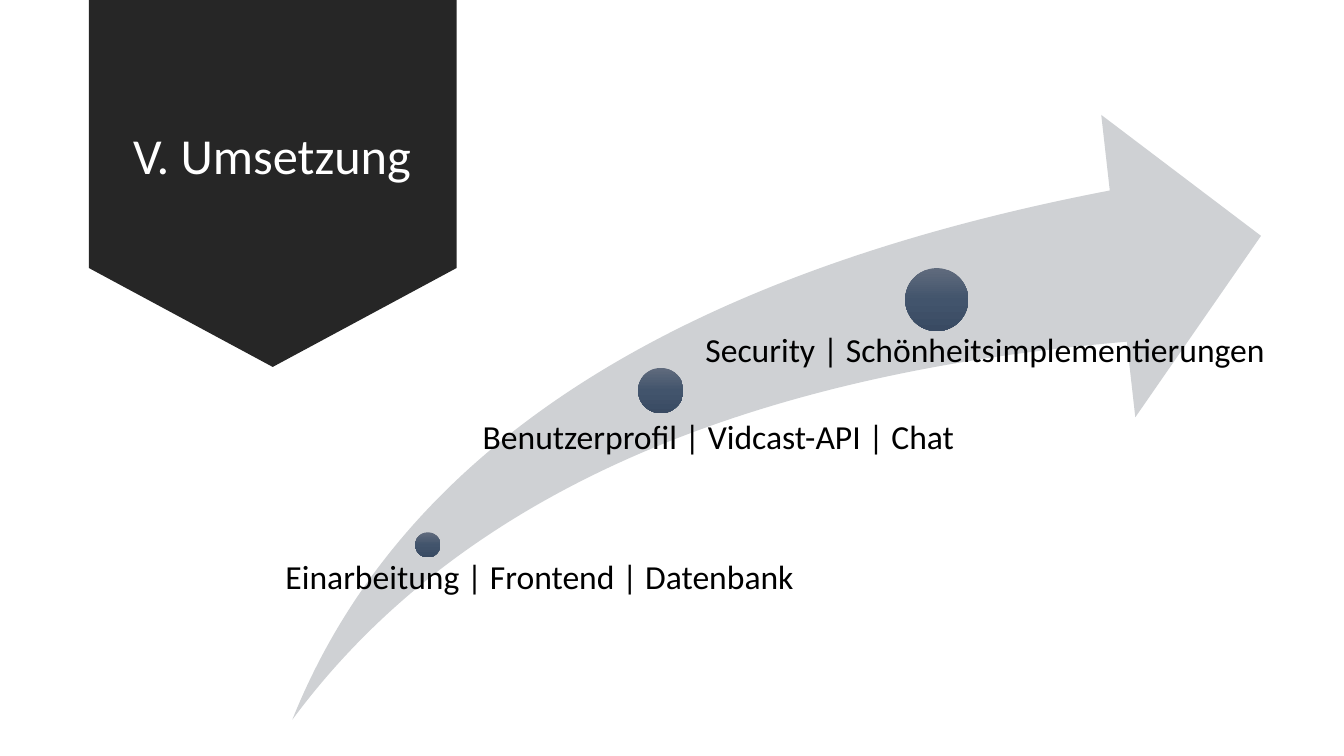
from copy import deepcopy
from pptx import Presentation
from pptx.dml.color import RGBColor
from pptx.enum.shapes import MSO_SHAPE
from pptx.enum.text import MSO_ANCHOR, PP_ALIGN
from pptx.oxml.ns import qn
from pptx.util import Pt


def color(hex_value):
    return RGBColor.from_string(hex_value)


def add_text(text, left, top, width, height, size, hex_value):
    box = slide.shapes.add_textbox(Pt(left), Pt(top), Pt(width), Pt(height))
    frame = box.text_frame
    frame.word_wrap = True
    frame.text = text
    paragraph = frame.paragraphs[0]
    paragraph.line_spacing = 0.9
    font = paragraph.runs[0].font
    font.name = "Calibri"
    font.size = Pt(size)
    font.color.rgb = color(hex_value)
    return frame


prs = Presentation()
prs.slide_width, prs.slide_height = Pt(960), Pt(540)
slide = prs.slides.add_slide(prs.slide_layouts[6])

backdrops = [
    (MSO_SHAPE.DOWN_ARROW, 63.4, -0.7, 262.8, 262.8, "262626", (1, 0.269)),
    (MSO_SHAPE.SWOOSH_ARROW, 208.8, 82.1, 691.9, 432, "CFD1D4", (0.25, 0.25)),
]
for kind, left, top, width, height, fill, adjustments in backdrops:
    backdrop = slide.shapes.add_shape(kind, Pt(left), Pt(top), Pt(width), Pt(height))
    for index, value in enumerate(adjustments):
        backdrop.adjustments[index] = value
    backdrop.shadow.inherit = False
    backdrop.fill.solid()
    backdrop.fill.fore_color.rgb = color(fill)
    backdrop.line.fill.background()

title = add_text("V. Umsetzung", 80.6, 15.1, 227.5, 195.8, 36, "FFFFFF")
title.vertical_anchor = MSO_ANCHOR.MIDDLE
title.paragraphs[0].alignment = PP_ALIGN.CENTER

milestones = [
    ("Einarbeitung | Frontend | Datenbank",
     (296.6, 380.2, 18), (194.4, 400.3, 396.7, 125.3), 9.5),
    ("Benutzerprofil | Vidcast-API | Chat",
     (455.8, 262.8, 32.4), (327.6, 300.2, 425.5, 96.5), 17.2),
    ("Security | Schönheitsimplementierungen",
     (646.6, 191.5, 45), (480.2, 238.3, 458.6, 118.8), 23.7),
]
dot_gradient = [(0, "606B7D"), (0.5, "42546C"), (1, "394A62")]

for label, (left, top, diameter), label_area, indent in milestones:
    dot = slide.shapes.add_shape(
        MSO_SHAPE.OVAL, Pt(left), Pt(top), Pt(diameter), Pt(diameter))
    dot.shadow.inherit = False
    dot.line.fill.background()
    dot.fill.gradient()
    dot.fill.gradient_angle = 270
    stop_list = dot._element.spPr.find(qn("a:gradFill")).find(qn("a:gsLst"))
    stop_list.append(deepcopy(stop_list[-1]))
    for stop, (position, hex_value) in zip(dot.fill.gradient_stops, dot_gradient):
        stop.position = position
        stop.color.rgb = color(hex_value)

    caption = add_text(label, *label_area, 24, "000000")
    caption.margin_left = Pt(indent)
    caption.margin_top = caption.margin_right = caption.margin_bottom = 0

prs.save("out.pptx")
